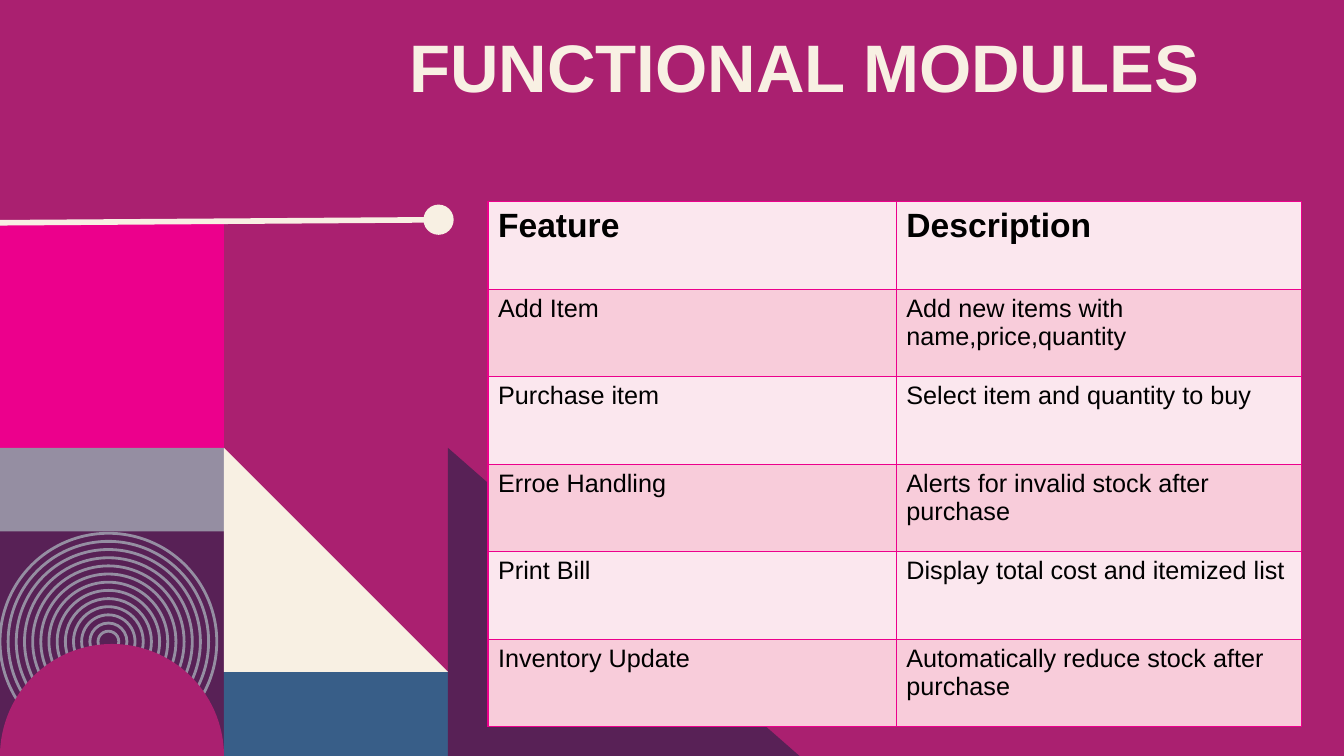
"""Build the slide that lists the functional modules in a table."""
from math import cos, pi, sin

from lxml.etree import SubElement as Sub
from pptx import Presentation
from pptx.dml.color import RGBColor as Rgb
from pptx.enum.shapes import MSO_CONNECTOR as Link, MSO_SHAPE as Kind
from pptx.enum.text import MSO_ANCHOR as Anchor, MSO_AUTO_SIZE as Fit, PP_ALIGN as Align
from pptx.oxml import parse_xml
from pptx.oxml.ns import nsdecls, qn
from pptx.util import Inches as In, Pt

THEME = {
    "plum": Rgb.from_string("AA2070"), "dark": Rgb.from_string("582156"),
    "pink": Rgb.from_string("EC008C"), "grey": Rgb.from_string("958EA2"),
    "cream": Rgb.from_string("F8F0E3"), "blue": Rgb.from_string("385E88"),
    "pale": Rgb.from_string("FBE7EE"), "rose": Rgb.from_string("F8CCDA"),
    "ink": Rgb.from_string("000000"), "font": "Arial",
    "title": Pt(48), "head": Pt(24), "body": Pt(18),
}
WIDE, HIGH = 13.33, 7.5
UNIT = WIDE / 6


def paint(shape, fill=None, line=None):
    shape.shadow.inherit = False
    for part, tint in ((shape.fill, fill), (shape.line.fill, line)):
        if tint:
            part.solid()
            part.fore_color.rgb = THEME[tint]
        else:
            part.background()


def style(font, size, tint, bold):
    look = {"name": THEME["font"], "size": THEME[size], "bold": bold}
    for key, value in look.items():
        setattr(font, key, value)
    font.color.rgb = THEME[tint]


deck = Presentation()
deck.slide_width, deck.slide_height = In(WIDE), In(HIGH)
slide = deck.slides.add_slide(deck.slide_layouts[5])
slide.background.fill.solid()
slide.background.fill.fore_color.rgb = THEME["plum"]
shapes = slide.shapes

blocks = [
    (0, 5.22, UNIT, HIGH - 5.22, "dark"),
    (0, UNIT, UNIT, UNIT, "pink"),
    (0, 2 * UNIT, UNIT, 0.83, "grey"),
    (UNIT, 3 * UNIT, 2.24, HIGH - 3 * UNIT, "blue"),
]
for *box, tint in blocks:
    paint(shapes.add_shape(Kind.RECTANGLE, *map(In, box)), tint)

ring, step = 2.15, 0.081
for turn in range(13):
    gap = turn * step
    side = In(ring - 2 * gap)
    hoop = shapes.add_shape(Kind.OVAL, In(gap), In(5.29 + gap), side, side)
    paint(hoop, line="grey")
    hoop.line.width = Pt(2)

rad = UNIT / 2
arch = [(rad - rad * cos(pi * i / 60), HIGH - rad * sin(pi * i / 60)) for i in range(61)]
forms = [
    ([(2 * UNIT, 2 * UNIT), (7.93, HIGH), (2 * UNIT, HIGH)], "dark"),
    ([(UNIT, 2 * UNIT), (2 * UNIT, 3 * UNIT), (UNIT, 3 * UNIT)], "cream"),
    (arch, "plum"),
]
for points, tint in forms:
    first, *rest = [(In(x), In(y)) for x, y in points]
    pen = shapes.build_freeform(*first)
    pen.add_line_segments(rest, close=True)
    paint(pen.convert_to_shape(), tint)

paint(shapes.add_shape(Kind.OVAL, In(4.2), In(2.03), In(0.3), In(0.3)), "cream")
stem = shapes.add_connector(Link.STRAIGHT, In(0), In(2.21), In(4.4), In(2.18))
stem.line.color.rgb = THEME["cream"]
stem.line.width = Pt(4)
Sub(stem.element.spPr, qn("a:effectLst"))

title = shapes.title
spot = {"left": 3.96, "top": 0, "width": 8.53, "height": 1.11}
for key, value in spot.items():
    setattr(title, key, In(value))
frame = title.text_frame
frame.text = "FUNCTIONAL MODULES"
form = {"word_wrap": True, "auto_size": Fit.NONE, "vertical_anchor": Anchor.BOTTOM}
for key, value in form.items():
    setattr(frame, key, value)
line = frame.paragraphs[0]
line.alignment, line.line_spacing = Align.LEFT, 0.9
style(line.font, "title", "cream", True)

rows = [
    ("Feature", "Description"),
    ("Add Item", "Add new items with name,price,quantity"),
    ("Purchase item", "Select item and quantity to buy"),
    ("Erroe Handling", "Alerts for invalid stock after purchase"),
    ("Print Bill", "Display total cost and itemized list"),
    ("Inventory Update", "Automatically reduce stock after purchase"),
]
cols = (4.05, 4.02)
table = shapes.add_table(len(rows), len(cols), In(4.84), In(2), In(sum(cols)), In(5.21)).table
table.first_row = table.horz_banding = False
for col, width in zip(table.columns, cols):
    col.width = In(width)
for r, row in enumerate(rows):
    for c, text in enumerate(row):
        cell = table.cell(r, c)
        cell.text = text
        cell.fill.solid()
        cell.fill.fore_color.rgb = THEME["rose" if r % 2 else "pale"]
        style(cell.text_frame.paragraphs[0].font, "body" if r else "head", "ink", r == 0)
        props = cell._tc.get_or_add_tcPr()
        for n, edge in enumerate(("lnL", "lnR", "lnT", "lnB")):
            props.insert(n, parse_xml(
                f'<a:{edge} {nsdecls("a")} w="{Pt(1)}"><a:solidFill>'
                f'<a:srgbClr val="{THEME["pink"]}"/></a:solidFill></a:{edge}>'))

deck.save("out.pptx")
